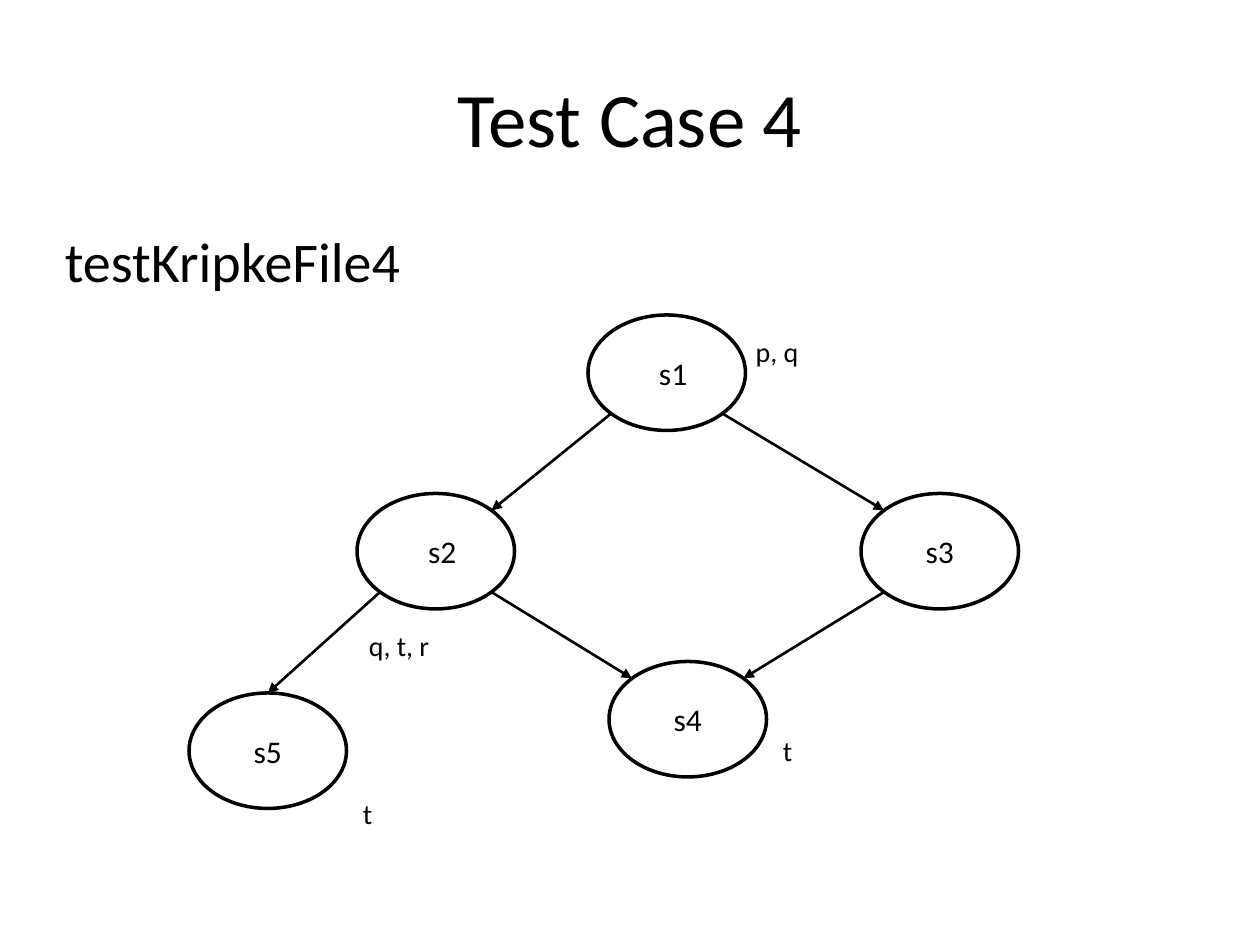
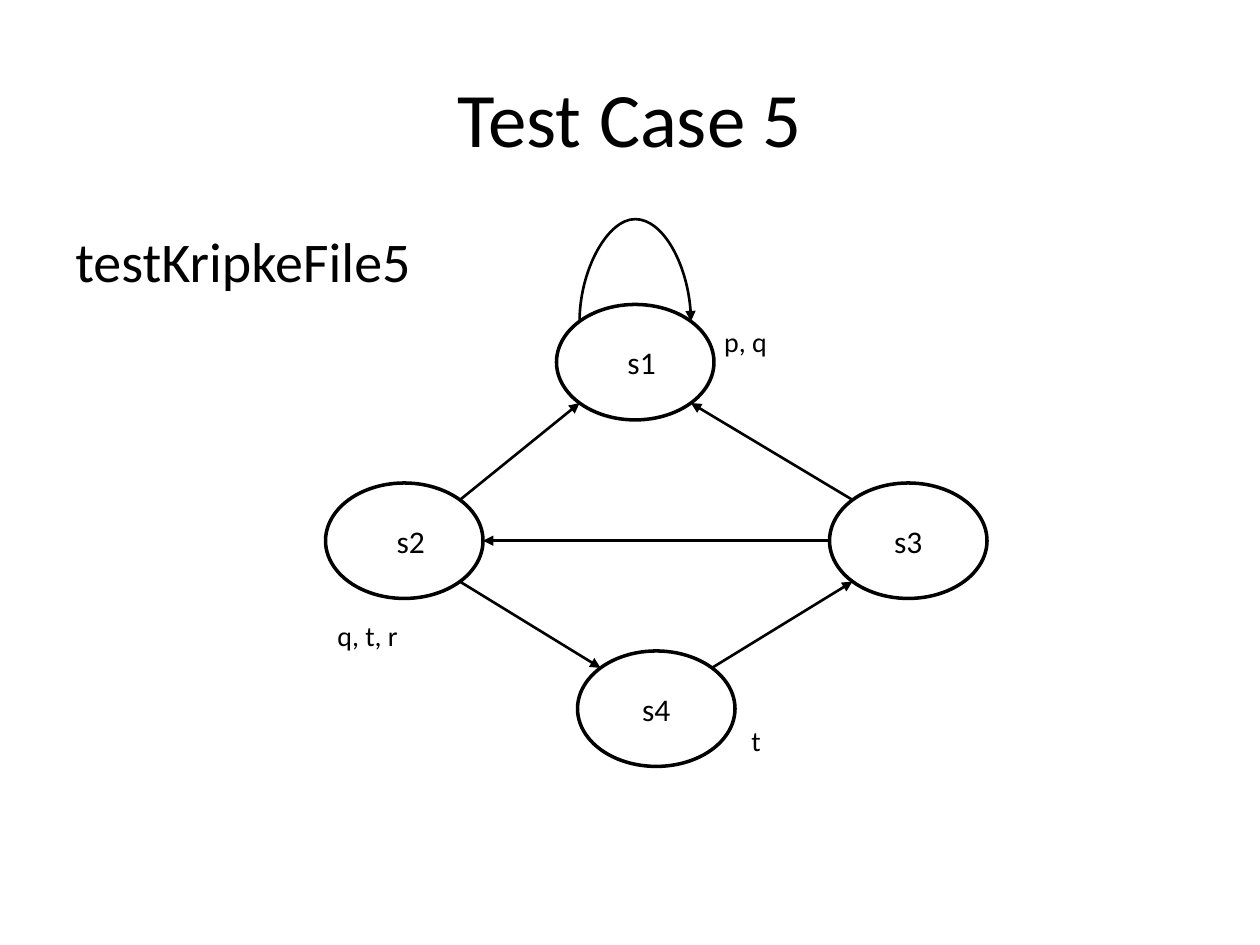
from dataclasses import dataclass
from math import cos, pi, sin

from lxml.etree import SubElement
from pptx import Presentation
from pptx.dml.color import RGBColor
from pptx.enum.shapes import MSO_CONNECTOR as CONN, MSO_SHAPE as SHAPE
from pptx.enum.text import MSO_ANCHOR as ANCHOR, PP_ALIGN as ALIGN
from pptx.oxml.ns import qn
from pptx.util import Inches, Pt


@dataclass(frozen=True)
class Theme:
    """Colours, font, type sizes and line widths of the deck."""
    ink: RGBColor = RGBColor(0, 0, 0)
    paper: RGBColor = RGBColor(255, 255, 255)
    font: str = "Calibri"
    title: int = 44
    body: int = 32
    state: int = 18
    label: int = 16
    outline: float = 2
    arrow: float = 1.5


THEME = Theme()
UNIT = Inches(1) // 12
STATE_W, STATE_H = 15, 11
LABEL_W, LABEL_H = 10, 7
LOOP_RISE = 8.6

TOP, TOP_LEFT, LEFT, BOTTOM_LEFT, BOTTOM, BOTTOM_RIGHT, RIGHT, TOP_RIGHT = range(8)

STATES = {"s1": (38, 0), "s2": (16, 17), "s3": (64, 17), "s4": (40, 33), "s5": (0, 36)}
LABEL_OFFSETS = {"s1": (13, 0), "s2": (-1, 11), "s4": (12, 5), "s5": (12, 8)}
TEXT_SHIFTS = {"s1": 0.1, "s2": 0.1}

CASES = [
    dict(title="Test Case 4", file="testKripkeFile4", file_col=5, origin=(18, 30),
         labels={"s1": "p, q", "s4": "t", "s2": "q, t, r", "s5": "t"},
         states=["s4", "s3", "s2", "s1", "s5"],
         edges=[("s1", BOTTOM_LEFT, "s2", TOP_RIGHT),
                ("s1", BOTTOM_RIGHT, "s3", TOP_LEFT),
                ("s3", BOTTOM_LEFT, "s4", TOP_RIGHT),
                ("s2", BOTTOM_RIGHT, "s4", TOP_LEFT),
                ("s2", BOTTOM_LEFT, "s5", TOP)]),
    dict(title="Test Case 5", file="testKripkeFile5", file_col=6, origin=(15, 29),
         labels={"s1": "p, q", "s4": "t", "s2": "q, t, r"},
         states=["s4", "s3", "s2", "s1"],
         edges=[("s2", TOP_RIGHT, "s1", BOTTOM_LEFT),
                ("s3", TOP_LEFT, "s1", BOTTOM_RIGHT),
                ("s4", TOP_RIGHT, "s3", BOTTOM_LEFT),
                ("s2", BOTTOM_RIGHT, "s4", TOP_LEFT),
                ("s3", LEFT, "s2", RIGHT),
                ("s1", TOP_LEFT, "s1", TOP_RIGHT)]),
]


def grid(*cells):
    """Turn grid columns and rows into lengths."""
    return [round(c * UNIT) for c in cells]


def write(sp, text, size, align=ALIGN.CENTER, anchor=ANCHOR.MIDDLE):
    """Put one formatted paragraph into a shape."""
    tf = sp.text_frame
    tf.word_wrap = True
    tf.vertical_anchor = anchor
    p = tf.paragraphs[0]
    p.alignment = align
    r = p.add_run()
    r.text = text
    r.font.name, r.font.size = THEME.font, Pt(size)
    r.font.color.rgb = THEME.ink


def add_text(s, box, text, size, **fmt):
    """Add a text box on the grid."""
    write(s.shapes.add_textbox(*grid(*box)), text, size, **fmt)


def add_state(s, name, col, row):
    """Add one state as an outlined ellipse."""
    sp = s.shapes.add_shape(SHAPE.OVAL, *grid(col, row, STATE_W, STATE_H))
    sp.shadow.inherit = False
    sp.fill.solid()
    sp.fill.fore_color.rgb = THEME.paper
    sp.line.color.rgb = THEME.ink
    sp.line.width = Pt(THEME.outline)
    write(sp, name, THEME.state)
    sp.text_frame.margin_left += Inches(TEXT_SHIFTS.get(name, 0))
    return sp


def site_point(sp, site):
    """Locate a connection site, counted anticlockwise from the top."""
    angle = pi / 2 + site * pi / 4
    return (round(sp.left + sp.width / 2 * (1 + cos(angle))),
            round(sp.top + sp.height / 2 * (1 - sin(angle))))


def bend_loop(cxn):
    """Turn a level curved connector into an arch over its ends."""
    span, middle, level = cxn.width, cxn.left + cxn.width // 2, cxn.top
    depth = Pt(0.1)
    cxn.left, cxn.top = middle - depth // 2, level - span // 2
    cxn.width, cxn.height = depth, span
    props = cxn._element.spPr
    props.find(qn("a:xfrm")).set("rot", str(270 * 60000))
    guides = props.find(qn("a:prstGeom")).get_or_add_avLst()
    ratio = round(LOOP_RISE * UNIT / depth * 100000)
    SubElement(guides, qn("a:gd"), name="adj1", fmla=f"val {ratio}")


def add_edge(s, start, start_site, end, end_site):
    """Join two states with an arrow, curved when they are the same."""
    loop = start is end
    cxn = s.shapes.add_connector(CONN.CURVE if loop else CONN.STRAIGHT,
                                 *site_point(start, start_site), *site_point(end, end_site))
    if loop:
        bend_loop(cxn)
    cxn.line.color.rgb = THEME.ink
    cxn.line.width = Pt(THEME.arrow)
    SubElement(cxn.line._get_or_add_ln(), qn("a:tailEnd"), type="triangle")
    SubElement(cxn._element.spPr, qn("a:effectLst"))
    glue = cxn._element.nvCxnSpPr.cNvCxnSpPr
    for tag, sp, site in (("a:stCxn", start, start_site), ("a:endCxn", end, end_site)):
        SubElement(glue, qn(tag), id=str(sp.shape_id), idx=str(site))


def add_graph(s, origin, states, edges, labels):
    """Draw states, arrows and labels from the given origin."""
    cells = {n: (origin[0] + STATES[n][0], origin[1] + STATES[n][1]) for n in states}
    ovals = {n: add_state(s, n, *cell) for n, cell in cells.items()}
    for start, start_site, end, end_site in edges:
        add_edge(s, ovals[start], start_site, ovals[end], end_site)
    for name, text in labels.items():
        (col, row), (dx, dy) = cells[name], LABEL_OFFSETS[name]
        add_text(s, (col + dx, row + dy, LABEL_W, LABEL_H), text, THEME.label)


def add_case(prs, title, file, file_col, **graph):
    """Add one test case slide."""
    s = prs.slides.add_slide(prs.slide_layouts[6])
    add_text(s, (6, 3.6, 108, 15), title, THEME.title)
    add_text(s, (file_col, 21, 108, 59.4), file, THEME.body,
             align=ALIGN.LEFT, anchor=ANCHOR.TOP)
    add_graph(s, **graph)


def main():
    """Build and save the deck."""
    prs = Presentation()
    prs.slide_width, prs.slide_height = Inches(10), Inches(7.5)
    for case in CASES:
        add_case(prs, **case)
    prs.save("out.pptx")


if __name__ == "__main__":
    main()
